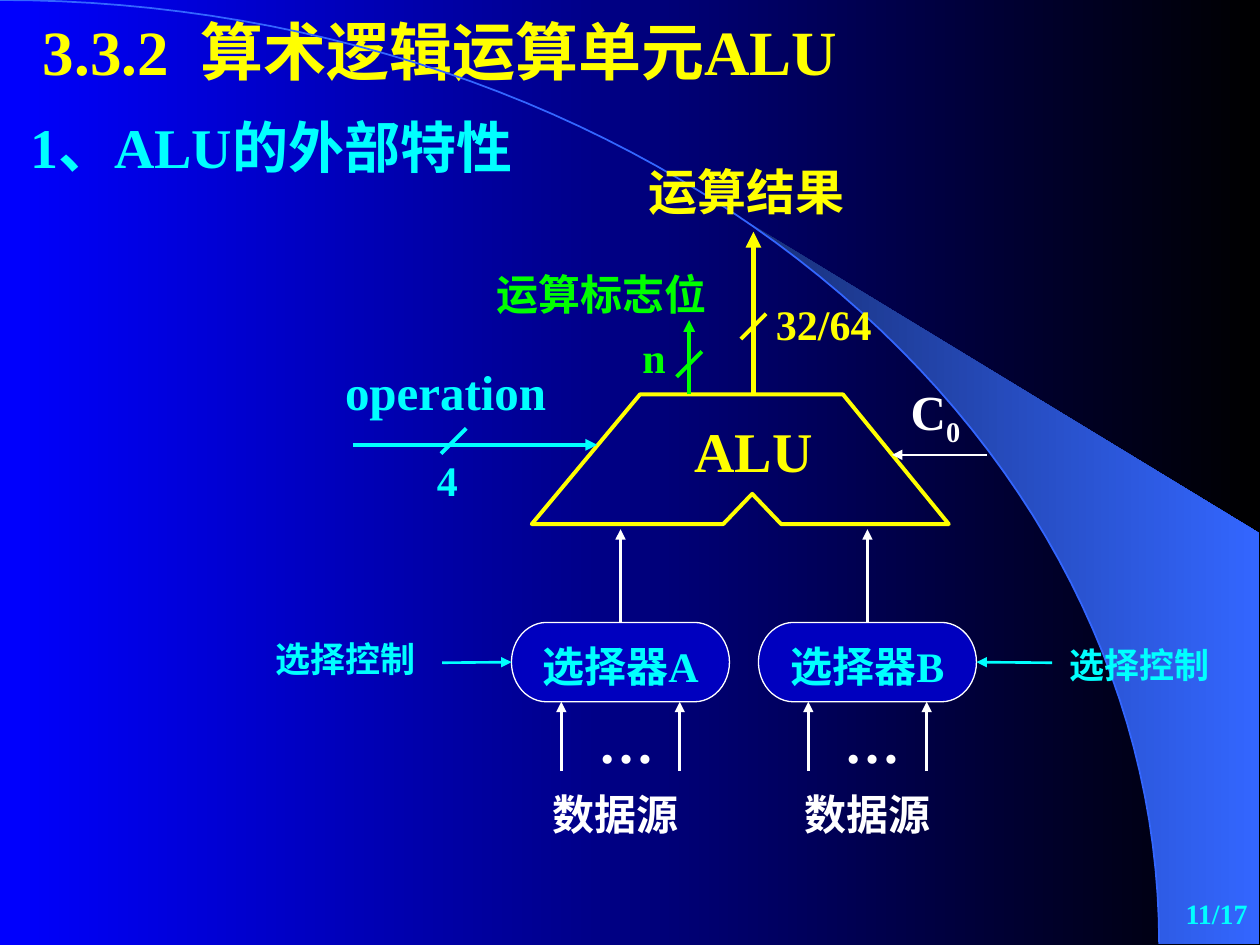
"""Build the slide on the external characteristics of an ALU."""
import math

from lxml import etree
from pptx import Presentation, util as u
from pptx.dml.color import RGBColor
from pptx.enum import shapes, text
from pptx.oxml.ns import qn

WIDTH, HEIGHT = 10, 7.5
LATIN, CJK = "Times New Roman", "Noto Sans CJK SC"
YELLOW, CYAN, GREEN, WHITE = "FFFF00", "00FFFF", "00FF00", "FFFFFF"
BLUE, NAVY, SELECTOR_FILL = "3366FF", "182F76", "0000BF"
ARC_W, ARC_H, BAND_START = 9.2, 7.49, 0.64

HEADING = "3.3.2  算术逻辑运算单元ALU"
# left, top, width, height, wording, size, colour, wrap
LABELS = [
    (0.14, 0.84, 4.35, 0.64, "1、ALU的外部特性", 32, CYAN, False),
    (5.05, 1.23, 1.89, 0.57, "运算结果", 28, YELLOW, True),
    (3.84, 2.08, 1.95, 0.5, "运算标志位", 24, GREEN, True),
    (6.06, 2.32, 0.96, 0.5, "32/64", 24, YELLOW, False),
    (5, 2.58, 0.38, 0.5, "n", 24, GREEN, False),
    (2.64, 2.82, 1.97, 0.57, "operation", 28, CYAN, True),
    (3.37, 3.56, 0.36, 0.5, "4", 24, CYAN, False),
    (2.09, 5.01, 1.42, 0.44, "选择控制", 20, CYAN, True),
    (8.39, 5.06, 1.42, 0.44, "选择控制", 20, CYAN, True),
]
# start, end, colour, width
ARROWS = [
    ((5.98, 3.12), (5.98, 1.84), YELLOW, 3),
    ((5.47, 3.13), (5.47, 2.54), GREEN, 2.25),
    ((2.8, 3.53), (4.74, 3.53), CYAN, 2.25),
    ((7.83, 3.61), (7.08, 3.61), WHITE, 1.5),
]
# centre of each bus-width slash
SLASHES = [(5.98, 2.59, YELLOW), (5.47, 2.89, GREEN), (3.6, 3.5, CYAN)]
ALU = [(5.08, 3.13), (6.69, 3.13), (7.53, 4.16), (6.2, 4.16),
       (5.97, 3.92), (5.74, 4.16), (4.22, 4.16)]
# wording, left, control start, control side, dots left, source left
SELECTORS = [
    ("选择器A", 4.06, (3.51, 5.26), 1, 4.65, 4.29),
    ("选择器B", 6.02, (8.35, 5.26), 3, 6.6, 6.29),
]
SELECTOR_TOP, SELECTOR_W, SELECTOR_H = 4.94, 1.73, 0.63


def rgb(value):
    """Return the colour of a hex string."""
    return RGBColor.from_string(value)


def inches(*values):
    """Convert lengths to slide units."""
    return [u.Inches(value) for value in values]


def gradient(fill, *colours):
    """Fill from left to right between two colours."""
    fill.gradient()
    fill.gradient_angle = 0
    for stop, colour, place in zip(fill.gradient_stops, colours, (0, 1)):
        stop.color.rgb, stop.position = rgb(colour), place


def write(shape, wording, size=24, colour=WHITE, align="LEFT", anchor="TOP",
          wrap=True, grow=True, subscript=""):
    """Write formatted wording into a shape."""
    frame = shape.text_frame
    frame.word_wrap = wrap
    frame.vertical_anchor = text.MSO_ANCHOR[anchor]
    frame.auto_size = text.MSO_AUTO_SIZE["SHAPE_TO_FIT_TEXT" if grow else "NONE"]
    line = frame.paragraphs[0]
    line.alignment = text.PP_ALIGN[align]
    for part in filter(None, (wording, subscript)):
        run = line.add_run()
        run.text = part
        font = run.font
        font.size, font.bold, font.name = u.Pt(size), True, LATIN
        font.color.rgb = rgb(colour)
        props = run._r.get_or_add_rPr()
        etree.SubElement(props, qn("a:ea"), typeface=CJK)
        if part == subscript:
            props.set("baseline", "-25000")


def label(slide, box, wording, **style):
    """Add a text box."""
    write(slide.shapes.add_textbox(*inches(*box)), wording, **style)


def connect(slide, start, end, colour, width=1.5, arrow=True):
    """Add a straight line, with an arrowhead at its end if wanted."""
    line = slide.shapes.add_connector(
        shapes.MSO_CONNECTOR.STRAIGHT, *inches(*start, *end))
    line.line.color.rgb, line.line.width = rgb(colour), u.Pt(width)
    if arrow:
        etree.SubElement(line.line._get_or_add_ln(), qn("a:tailEnd"), type="triangle")
    etree.SubElement(line._element.spPr, qn("a:effectLst"))
    return line


def outline(slide, points, close=True, colour=None, width=1):
    """Add an unfilled outline through the points."""
    corners = [inches(*point) for point in points]
    builder = slide.shapes.build_freeform(*corners[0])
    builder.add_line_segments(corners[1:], close=close)
    shape = builder.convert_to_shape()
    shape.shadow.inherit = False
    shape.fill.background()
    if colour:
        shape.line.color.rgb, shape.line.width = rgb(colour), u.Pt(width)
    else:
        shape.line.fill.background()
    return shape


def arc(first, steps=60):
    """Return points on the quarter ellipse from an angle to its end."""
    angles = [first + (math.pi / 2 - first) * i / steps for i in range(steps + 1)]
    return [(ARC_W * math.sin(a), ARC_H * (1 - math.cos(a))) for a in angles]


def selector(slide, wording, left, control, side, dots_left, source_left):
    """Add a selector with its inputs, control and output."""
    bottom = SELECTOR_TOP + SELECTOR_H
    middle = left + SELECTOR_W / 2
    box = slide.shapes.add_shape(
        shapes.MSO_SHAPE.FLOWCHART_TERMINATOR,
        *inches(left, SELECTOR_TOP, SELECTOR_W, SELECTOR_H))
    box.shadow.inherit = False
    box.fill.solid()
    box.fill.fore_color.rgb = rgb(SELECTOR_FILL)
    box.line.color.rgb, box.line.width = rgb(WHITE), u.Pt(0.75)
    write(box, wording, colour=CYAN, align="CENTER", wrap=False, grow=False)
    output = connect(slide, (middle, SELECTOR_TOP), (middle, 4.2), WHITE)
    output.begin_connect(box, 0)
    connect(slide, control, control, CYAN).end_connect(box, side)
    for offset in (-0.47, 0.47):
        x = middle + offset
        connect(slide, (x, 6.12), (x, bottom), WHITE)
    label(slide, (dots_left, bottom, 0.85, 0.64), "…", size=32)
    label(slide, (source_left, 6.21, 1.34, 0.5), "数据源")


def main():
    """Assemble and save the slide."""
    deck = Presentation()
    deck.slide_width, deck.slide_height = inches(WIDTH, HEIGHT)
    slide = deck.slides.add_slide(deck.slide_layouts[5])
    gradient(slide.background.fill, "0000FF", "000000")

    band = outline(slide, arc(math.asin(BAND_START)) + [(9.99, ARC_H), (9.99, 4.23)])
    gradient(band.fill, NAVY, BLUE)
    outline(slide, arc(0), close=False, colour=BLUE)

    heading = slide.shapes.title
    heading.left, heading.top, heading.width, heading.height = inches(0.24, 0.05, 7.91, 0.7)
    write(heading, HEADING, size=36, colour=YELLOW)

    outline(slide, ALU, colour=YELLOW, width=2.25)
    label(slide, (5.35, 3.26, 1.26, 0.64), "ALU", size=32, colour=YELLOW, align="CENTER")
    for arrow in ARROWS:
        connect(slide, *arrow)
    for x, y, colour in SLASHES:
        connect(slide, (x + 0.1, y - 0.1), (x - 0.1, y + 0.1), colour, 2.25, arrow=False)
    for *box, wording, size, colour, wrap in LABELS:
        label(slide, box, wording, size=size, colour=colour, wrap=wrap)
    label(slide, (7.13, 2.98, 0.87, 0.63), "C", size=28, subscript="0")
    for parts in SELECTORS:
        selector(slide, *parts)
    label(slide, (7.52, 7, 2.48, 0.5), "11/17", size=16, colour=CYAN,
          align="RIGHT", anchor="MIDDLE", grow=False)
    deck.save("out.pptx")


if __name__ == "__main__":
    main()
